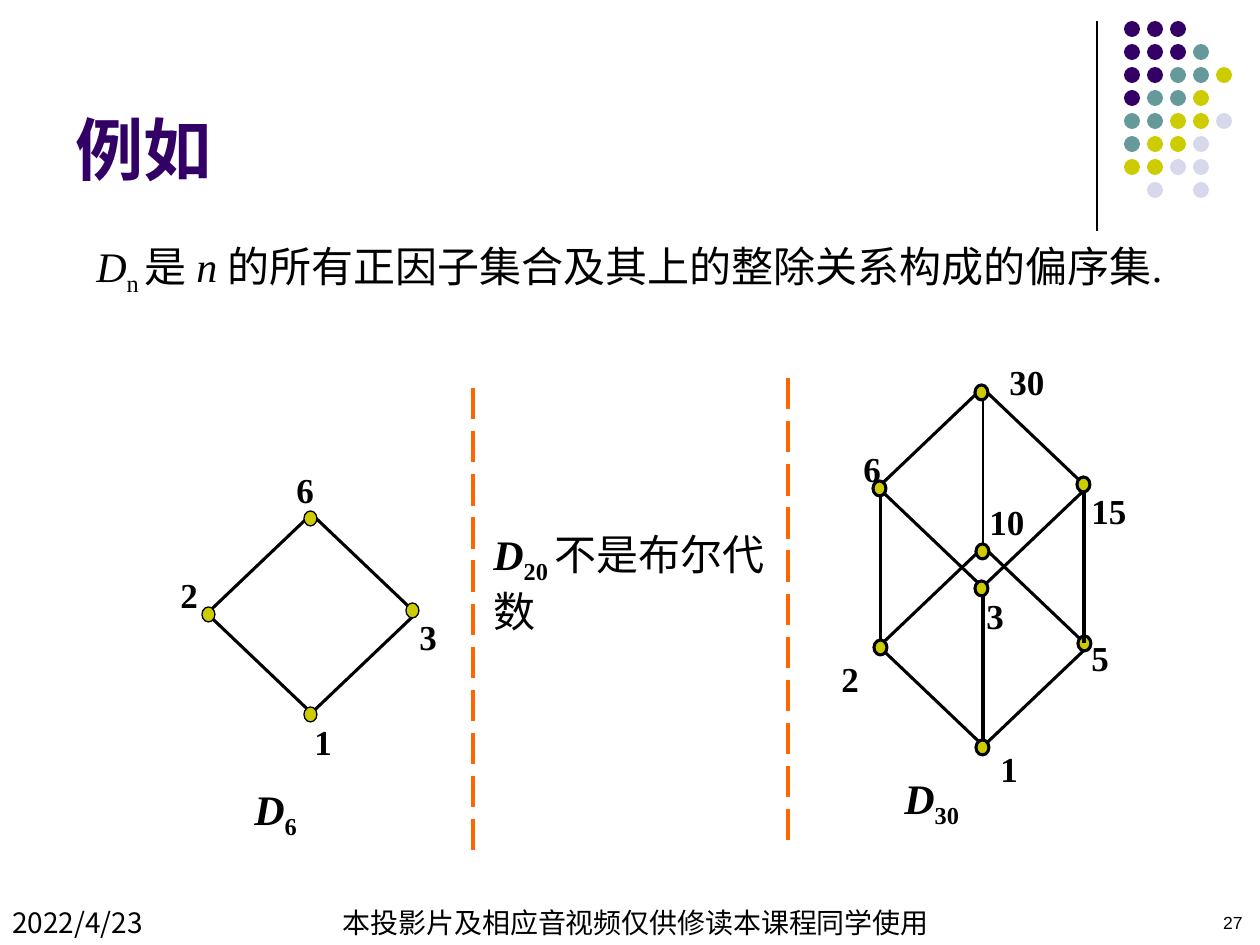
from lxml.etree import SubElement
from pptx import Presentation
from pptx.dml.color import RGBColor
from pptx.enum.dml import MSO_LINE
from pptx.enum.shapes import MSO_CONNECTOR, MSO_SHAPE
from pptx.enum.text import MSO_ANCHOR, MSO_AUTO_SIZE, PP_ALIGN
from pptx.oxml.ns import qn
from pptx.util import Emu, Pt

PX = 914400 / 126
COLORS = {"ink": "000000", "purple": "330066", "teal": "669999",
          "yellow": "CCCC00", "lilac": "D8D8EC", "orange": "FF6600"}
SERIF = "Times New Roman"
CJK = "Noto Sans CJK SC"
DOT_ROWS = ["PPP", "PPPT", "PPTTY", "PTTY", "TTYYL", "TYYL", "YYLL", " L L"]
DOT_COLORS = {"P": "purple", "T": "teal", "Y": "yellow", "L": "lilac"}
NODE_OFFSETS = [(97, -3), (-5, 93), (199, 89), (97, 193)]


def px(*lengths):
    return [Emu(round(length * PX)) for length in lengths]


def rgb(name):
    return RGBColor.from_string(COLORS[name])


def add_run(paragraph, text, size=24, font=SERIF, color="ink",
            bold=False, italic=False, subscript=False):
    run = paragraph.add_run()
    run.text = text
    run.font.size = Pt(size)
    run.font.name = font
    run.font.bold = bold
    run.font.italic = italic
    run.font.color.rgb = rgb(color)
    properties = run._r.get_or_add_rPr()
    SubElement(properties, qn("a:ea")).set("typeface", CJK)
    if subscript:
        properties.set("baseline", "-25000")


def add_text(slide, box, runs, align=PP_ALIGN.LEFT, anchor=MSO_ANCHOR.TOP,
             grow=True, **style):
    frame = slide.shapes.add_textbox(*px(*box)).text_frame
    frame.word_wrap = True
    frame.vertical_anchor = anchor
    frame.auto_size = MSO_AUTO_SIZE.SHAPE_TO_FIT_TEXT if grow else MSO_AUTO_SIZE.NONE
    paragraph = frame.paragraphs[0]
    paragraph.alignment = align
    for text, changes in runs:
        add_run(paragraph, text, **{**style, **changes})


def add_label(slide, text, left, top, width):
    add_text(slide, (left, top, width, 54), [(text, {})], size=20, bold=True)


def add_name(slide, index, left, top):
    runs = [("D", {"italic": True}), (index, {"subscript": True})]
    add_text(slide, (left, top, 158, 63), runs, bold=True)


def add_line(slide, start, end, width=1.75, color="ink", dash=None):
    line = slide.shapes.add_connector(MSO_CONNECTOR.STRAIGHT, *px(*start, *end))
    line.line.color.rgb = rgb(color)
    line.line.width = Pt(width)
    if dash:
        line.line.dash_style = dash
    SubElement(line._element.spPr, qn("a:effectLst"))


def add_figure(slide, kind, box, fill=None, width=None):
    shape = slide.shapes.add_shape(kind, *px(*box))
    shape.shadow.inherit = False
    if fill:
        shape.fill.solid()
        shape.fill.fore_color.rgb = rgb(fill)
    else:
        shape.fill.background()
    if width:
        shape.line.color.rgb = rgb("ink")
        shape.line.width = Pt(width)
    else:
        shape.line.fill.background()


def add_hasse_diamond(slide, left, top, node_width=1.75):
    add_figure(slide, MSO_SHAPE.DIAMOND, (left, top, 209, 199), width=1.75)
    for dx, dy in NODE_OFFSETS:
        add_figure(slide, MSO_SHAPE.OVAL, (left + dx, top + dy, 13, 15),
                   fill="yellow", width=node_width)


def add_dot_grid(slide):
    add_line(slide, (1097, 21), (1097, 231), width=0.75)
    for row, dots in enumerate(DOT_ROWS):
        for column, dot in enumerate(dots):
            if dot in DOT_COLORS:
                box = (1124 + 23 * column, 21 + 23 * row, 16, 16)
                add_figure(slide, MSO_SHAPE.OVAL, box, fill=DOT_COLORS[dot])


def add_title(slide, text):
    title = slide.shapes.title
    title.left, title.top, title.width, title.height = px(63, 16, 1040, 179)
    title.text_frame.vertical_anchor = MSO_ANCHOR.BOTTOM
    paragraph = title.text_frame.paragraphs[0]
    paragraph.alignment = PP_ALIGN.LEFT
    add_run(paragraph, text, size=39, font="Arial", color="purple", bold=True)


def add_footer(slide):
    for text, left, width, align, size, font in [
        ("2022/4/23", 0, 174, PP_ALIGN.LEFT, 16, CJK),
        ("本投影片及相应音视频仅供修读本课程同学使用", 174, 924, PP_ALIGN.CENTER, 16, CJK),
        ("27", 1124, 131, PP_ALIGN.RIGHT, 10, "Arial"),
    ]:
        add_text(slide, (left, 901, width, 42), [(text, {})], align=align,
                 anchor=MSO_ANCHOR.MIDDLE, grow=False, size=size, font=font)


def add_d6(slide):
    add_hasse_diamond(slide, 207, 514, node_width=0.75)
    for label in [("6", 284, 462, 227), ("2", 168, 567, 55),
                  ("3", 407, 609, 87), ("1", 302, 714, 87)]:
        add_label(slide, *label)
    add_name(slide, "6", 242, 777)


def add_d30(slide):
    add_line(slide, (983, 393), (983, 553), width=0.75)
    add_line(slide, (983, 588), (983, 750))
    add_hasse_diamond(slide, 879, 547)
    add_line(slide, (1084, 485), (1084, 643))
    add_line(slide, (881, 491), (881, 641))
    add_hasse_diamond(slide, 878, 388)
    for label in [("30", 997, 354, 100), ("6", 851, 441, 227),
                  ("15", 1079, 483, 87), ("10", 977, 494, 105),
                  ("3", 974, 588, 87), ("5", 1079, 630, 87),
                  ("2", 829, 651, 84), ("1", 988, 741, 95)]:
        add_label(slide, *label)
    add_name(slide, "30", 892, 766)


def main():
    presentation = Presentation()
    presentation.slide_width, presentation.slide_height = px(1260, 945)
    slide = presentation.slides.add_slide(presentation.slide_layouts[5])
    add_dot_grid(slide)
    add_title(slide, "例如")
    add_footer(slide)
    add_text(slide, (84, 234, 1103, 63), [
        ("D", {"italic": True}), ("n ", {"subscript": True}), ("是 ", {}),
        ("n ", {"italic": True}),
        ("的所有正因子集合及其上的整除关系构成的偏序集.", {}),
    ])
    add_d6(slide)
    add_d30(slide)
    add_text(slide, (481, 522, 318, 115), [
        ("D", {"bold": True, "italic": True}),
        ("20 ", {"bold": True, "subscript": True}), ("不是布尔代数", {}),
    ])
    for x, top in [(473, 388), (788, 378)]:
        add_line(slide, (x, top), (x, top + 462), width=2.25, color="orange",
                 dash=MSO_LINE.LONG_DASH)
    presentation.save("out.pptx")


if __name__ == "__main__":
    main()
